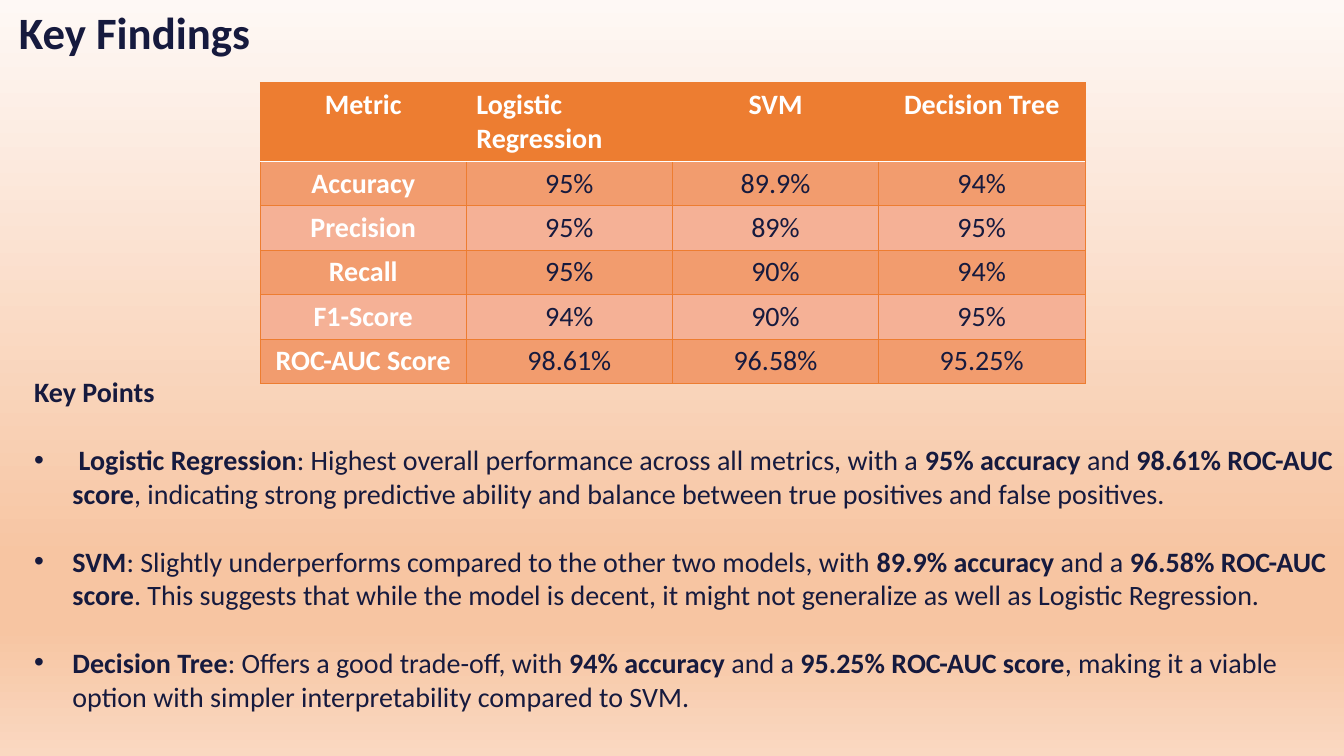
from lxml import etree
from pptx import Presentation
from pptx.dml.color import RGBColor
from pptx.enum.text import MSO_AUTO_SIZE, PP_ALIGN
from pptx.oxml.ns import qn
from pptx.util import Inches, Pt

LEFT, CENTER = PP_ALIGN.LEFT, PP_ALIGN.CENTER
GROW = MSO_AUTO_SIZE.SHAPE_TO_FIT_TEXT
FONT = "Calibri"
NAVY = RGBColor(0x16, 0x1A, 0x3E)
WHITE = RGBColor(0xFF, 0xFF, 0xFF)
ORANGE = RGBColor(0xED, 0x7D, 0x31)
BAND = RGBColor(0xF2, 0x9C, 0x6E)
PINK = RGBColor(0xF5, 0xB1, 0x96)
STOPS = [
    (0, RGBColor(0xFE, 0xF8, 0xF5)),
    (74, RGBColor(0xF7, 0xC5, 0xA2)),
    (83, RGBColor(0xF7, 0xC5, 0xA2)),
    (100, RGBColor(0xFA, 0xD8, 0xC1)),
]
SCORES = [
    ["Metric", "Logistic Regression", "SVM", "Decision Tree"],
    ["Accuracy", "95%", "89.9%", "94%"],
    ["Precision", "95%", "89%", "95%"],
    ["Recall", "95%", "90%", "94%"],
    ["F1-Score", "94%", "90%", "95%"],
    ["ROC-AUC Score", "98.61%", "96.58%", "95.25%"],
]
POINTS = [
    [" Logistic Regression",
     ": Highest overall performance across all metrics, with a ",
     "95% accuracy ", "and ", "98.61% ROC-AUC score",
     ", indicating strong predictive ability and balance between "
     "true positives and false positives."],
    ["SVM",
     ": Slightly underperforms compared to the other two models, with ",
     "89.9% accuracy ", "and a ", "96.58% ROC-AUC score",
     ". This suggests that while the model is decent, it might not "
     "generalize as well as Logistic Regression."],
    ["Decision Tree", ": Offers a good trade-off, with ",
     "94% accuracy ", "and a ", "95.25% ROC-AUC score",
     ", making it a viable option with simpler interpretability "
     "compared to SVM."],
]


def add_run(para, text, size=20, bold=False, color=NAVY):
    """Add one styled run to a paragraph."""
    run = para.add_run()
    run.text = text
    font = run.font
    font.name, font.size, font.bold = FONT, Pt(size), bold
    font.color.rgb = color


def add_color(parent, color):
    """Append an RGB colour element."""
    etree.SubElement(parent, qn("a:srgbClr"), val=str(color))


def add_frame(slide, box):
    """Add a wrapping text box and return its text frame."""
    frame = slide.shapes.add_textbox(*map(Inches, box)).text_frame
    frame.word_wrap = True
    frame.auto_size = GROW
    return frame


def paint_back(slide):
    """Fill the background with a downward gradient."""
    fill = slide.background.fill
    fill.gradient()
    fill.gradient_angle = 270
    stops = slide.element.find(".//" + qn("a:gsLst"))
    for old in list(stops):
        stops.remove(old)
    for place, color in STOPS:
        stop = etree.SubElement(stops, qn("a:gs"), pos=str(place * 1000))
        add_color(stop, color)


def add_title(slide, box):
    """Add the slide heading."""
    add_run(add_frame(slide, box).paragraphs[0], "Key Findings", 32, True)


def set_edges(cell, row):
    """Draw cell borders, with a white rule below the header."""
    props = cell._tc.get_or_add_tcPr()
    white = {"T": row == 1, "B": row == 0}
    for index, side in enumerate("LRTB"):
        rule = white.get(side, False)
        line = etree.Element(qn("a:ln" + side), w=str(Pt(1 if rule else 0.5)))
        fill = etree.SubElement(line, qn("a:solidFill"))
        add_color(fill, WHITE if rule else ORANGE)
        props.insert(index, line)


def add_scores(slide, box):
    """Add the table of model scores."""
    left, top, width, height = box
    count = len(SCORES[0])
    table = slide.shapes.add_table(
        len(SCORES), count, *map(Inches, box)).table
    for col in table.columns:
        col.width = Inches(width / count)
    head = 0.78
    for r, texts in enumerate(SCORES):
        rest = (height - head) / (len(SCORES) - 1)
        table.rows[r].height = Inches(rest if r else head)
        for c, text in enumerate(texts):
            cell = table.cell(r, c)
            cell.fill.solid()
            cell.fill.fore_color.rgb = (
                ORANGE if r == 0 else BAND if r % 2 else PINK)
            set_edges(cell, r)
            para = cell.text_frame.paragraphs[0]
            para.alignment = LEFT if (r, c) == (0, 1) else CENTER
            label = r == 0 or c == 0
            add_run(para, text, bold=label, color=WHITE if label else NAVY)


def add_points(slide, box):
    """Add the key points as a bulleted list."""
    frame = add_frame(slide, box)
    add_run(frame.paragraphs[0], "Key Points", bold=True)
    for parts in POINTS:
        para = frame.add_paragraph()
        para.space_before = Pt(24.4)
        props = para._p.get_or_add_pPr()
        props.set("marL", str(Inches(0.38)))
        props.set("indent", str(-Inches(0.38)))
        etree.SubElement(props, qn("a:buFont"), typeface="Arial")
        etree.SubElement(props, qn("a:buChar"), char="•")
        for index, text in enumerate(parts):
            add_run(para, text, bold=index % 2 == 0)


def main():
    """Build and save the slide."""
    deck = Presentation()
    deck.slide_width, deck.slide_height = Inches(13.33), Inches(7.5)
    slide = deck.slides.add_slide(deck.slide_layouts[6])
    paint_back(slide)
    add_scores(slide, (2.58, 0.82, 8.18, 2.98))
    add_points(slide, (0.24, 3.67, 13.1, 3.47))
    add_title(slide, (0.09, 0, 6.7, 0.64))
    deck.save("out.pptx")


if __name__ == "__main__":
    main()
